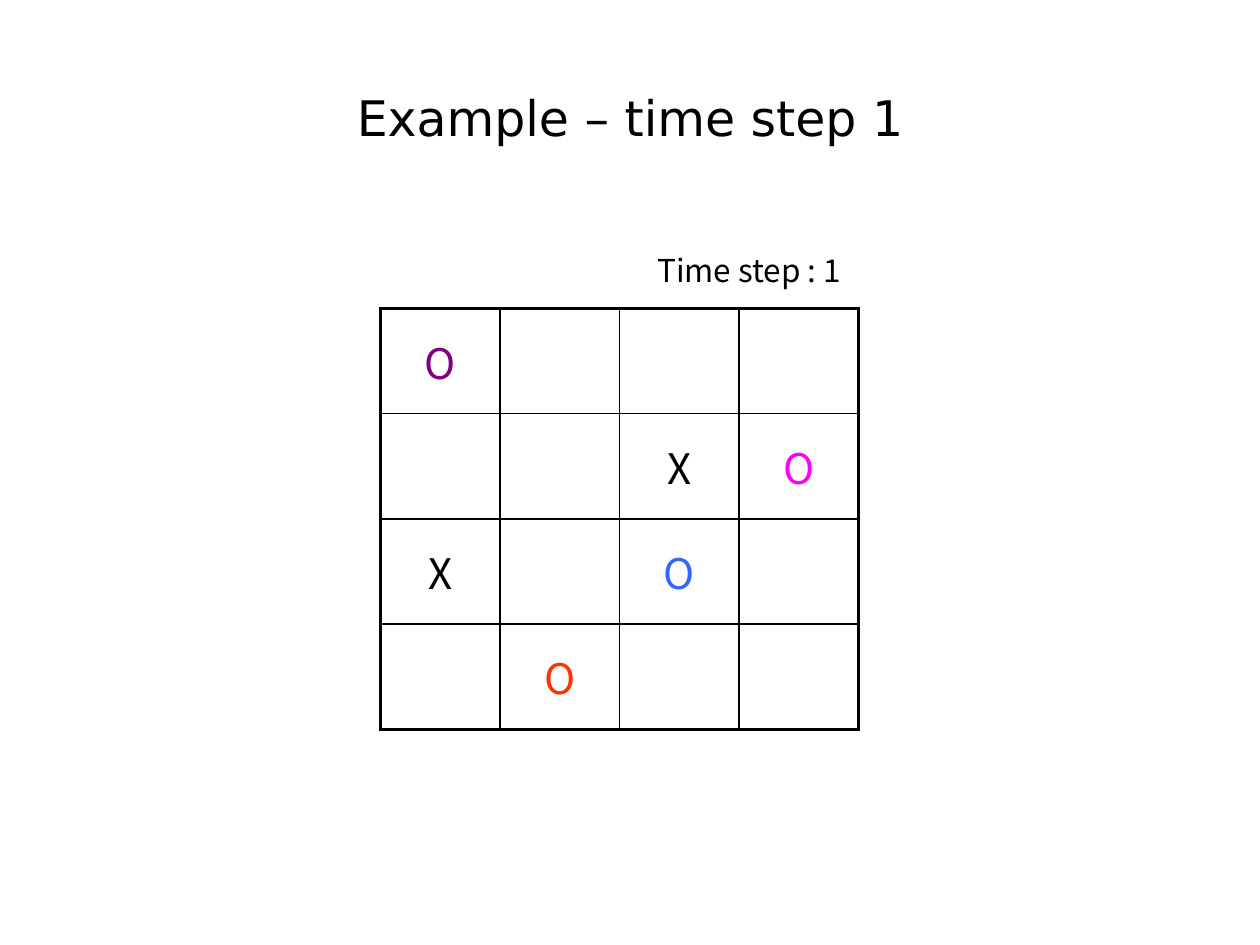
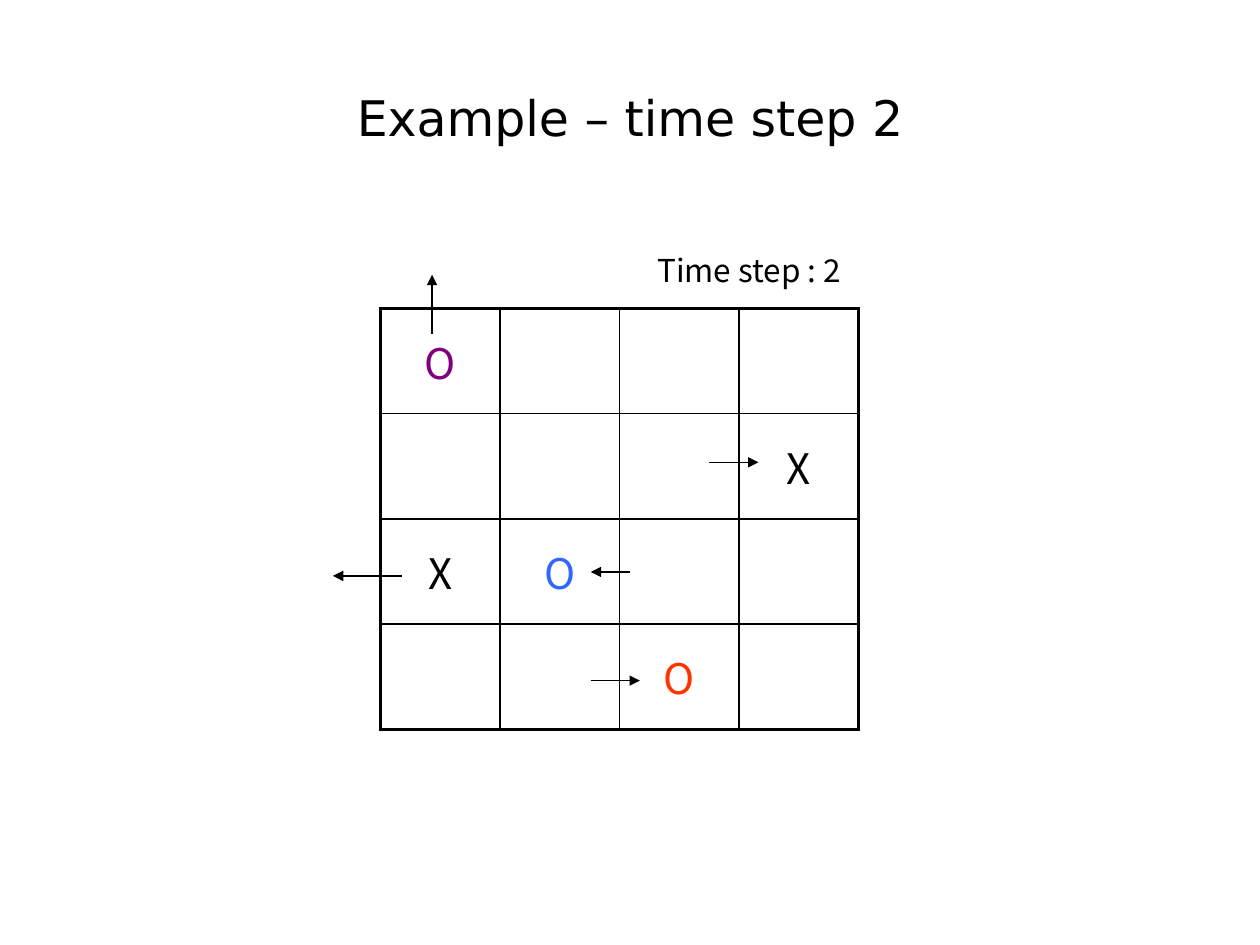
from lxml import etree
from pptx import Presentation
from pptx.dml.color import RGBColor
from pptx.enum.shapes import MSO_CONNECTOR
from pptx.enum.text import MSO_ANCHOR, MSO_AUTO_SIZE, PP_ALIGN
from pptx.oxml.ns import qn
from pptx.util import Cm, Pt

CENTER, LEFT = PP_ALIGN.CENTER, PP_ALIGN.LEFT
MIDDLE = MSO_ANCHOR.MIDDLE
STRAIGHT = MSO_CONNECTOR.STRAIGHT

BLACK, PURPLE, PINK, BLUE, RED = "000000", "800080", "FF00FF", "3366FF", "FF3300"
TITLE_FONT, BODY_FONT = "DejaVu Sans", "Noto Sans CJK KR"

# Content: marks by (row, column), moves as (x1, y1, x2, y2) in cm
STEPS = [
    {
        "number": 1,
        "marks": {(0, 0): ("O", PURPLE), (1, 2): ("X", BLACK), (1, 3): ("O", PINK),
                  (2, 0): ("X", BLACK), (2, 2): ("O", BLUE), (3, 1): ("O", RED)},
        "moves": [],
    },
    {
        "number": 2,
        "marks": {(0, 0): ("O", PURPLE), (1, 3): ("X", BLACK), (2, 0): ("X", BLACK),
                  (2, 1): ("O", BLUE), (3, 2): ("O", RED)},
        "moves": [(14.3, 9.32, 15.29, 9.32), (12.7, 11.53, 11.91, 11.53),
                  (8.71, 6.73, 8.71, 5.54), (11.91, 13.72, 12.9, 13.72),
                  (8.1, 11.61, 6.71, 11.61)],
    },
]

# Board geometry
GRID = 4
BOARD_LEFT, BOARD_TOP = 7.67, 6.22
CELL_WIDTH, CELL_HEIGHT = 2.41, 2.12
INNER, OUTER = 1, 2.25


def color(value):
    return RGBColor.from_string(value)


def write(frame, text, size, font=BODY_FONT, fill=BLACK, align=LEFT, before=0):
    para = frame.paragraphs[0]
    para.alignment = align
    para.space_before = Pt(before)
    span = para.add_run()
    span.text = text
    span.font.size = Pt(size)
    span.font.name = font
    span.font.color.rgb = color(fill)


def add_border(cell, side, width):
    line = etree.SubElement(cell._tc.get_or_add_tcPr(), qn(f"a:ln{side}"), w=str(Pt(width)))
    fill = etree.SubElement(line, qn("a:solidFill"))
    etree.SubElement(fill, qn("a:srgbClr"), val=BLACK)


def add_title(page, text):
    title = page.shapes.title
    title.left, title.top, title.width, title.height = Cm(1.27), Cm(0.76), Cm(22.86), Cm(3.18)
    title.text_frame.vertical_anchor = MIDDLE
    write(title.text_frame, text, 28, font=TITLE_FONT, align=CENTER)


def add_board(page, marks):
    board = page.shapes.add_table(GRID, GRID, Cm(BOARD_LEFT), Cm(BOARD_TOP),
                                  Cm(GRID * CELL_WIDTH), Cm(GRID * CELL_HEIGHT)).table
    board.first_row = board.horz_banding = False
    last = GRID - 1
    for row in range(GRID):
        for column in range(GRID):
            cell = board.cell(row, column)
            # The outer edge is thicker than the inner lines
            edges = {"L": column == 0, "R": column == last, "T": row == 0, "B": row == last}
            for side, is_outer in edges.items():
                add_border(cell, side, OUTER if is_outer else INNER)
            cell.fill.background()
            cell.vertical_anchor = MIDDLE
            if (row, column) in marks:
                mark, fill = marks[row, column]
                write(cell.text_frame, mark, 24, fill=fill, align=CENTER, before=4.8)


def add_arrow(page, ends):
    arrow = page.shapes.add_connector(STRAIGHT, *map(Cm, ends))
    arrow.line.color.rgb = color(BLACK)
    arrow.line.width = Pt(0.75)
    properties = arrow._element.spPr
    etree.SubElement(properties.find(qn("a:ln")), qn("a:tailEnd"), type="triangle")
    etree.SubElement(properties, qn("a:effectLst"))


def add_caption(page, text):
    box = page.shapes.add_textbox(Cm(13), Cm(4.93), Cm(4.29), Cm(1.02))
    box.text_frame.word_wrap = False
    box.text_frame.auto_size = MSO_AUTO_SIZE.SHAPE_TO_FIT_TEXT
    write(box.text_frame, text, 18)


def main():
    deck = Presentation()
    deck.slide_width, deck.slide_height = Cm(25.4), Cm(19.05)
    title_only = deck.slide_layouts[5]
    for step in STEPS:
        page = deck.slides.add_slide(title_only)
        add_title(page, f"Example – time step {step['number']}")
        add_board(page, step["marks"])
        for ends in step["moves"]:
            add_arrow(page, ends)
        add_caption(page, f"Time step : {step['number']}")
    deck.save("out.pptx")


if __name__ == "__main__":
    main()
